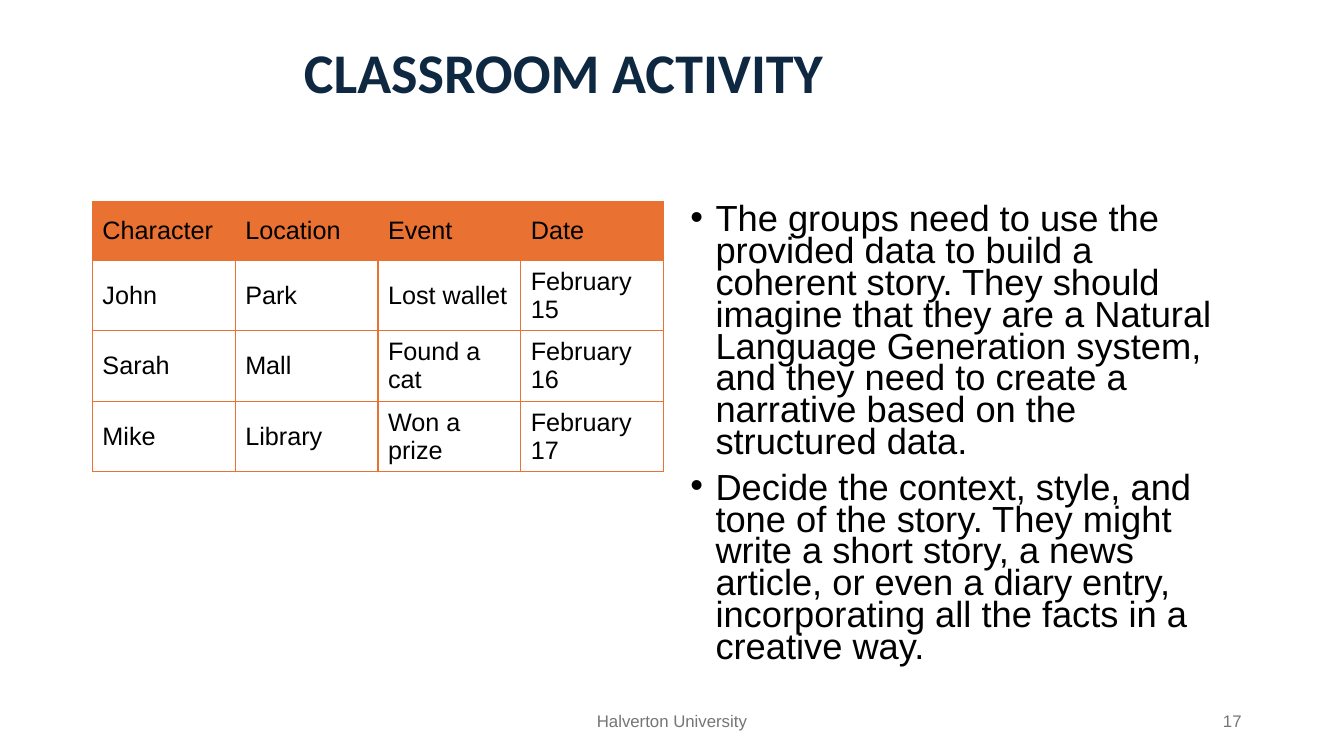
from lxml import etree
from pptx import Presentation, util as u
from pptx.dml.color import RGBColor
from pptx.enum import text
from pptx.oxml import ns

COLORS = {"navy": "0E2841", "orange": "E97132", "black": "000000", "grey": "757575"}
COLUMNS, ROWS = 160, 150

HEADER = ["Character", "Location", "Event", "Date"]
RECORDS = [
    ["John", "Park", "Lost wallet", "February 15"],
    ["Sarah", "Mall", "Found a cat", "February 16"],
    ["Mike", "Library", "Won a prize", "February 17"],
]
TASKS = [
    "The groups need to use the provided data to build a coherent story. They should "
    "imagine that they are a Natural Language Generation system, and they need to create "
    "a narrative based on the structured data.",
    "Decide the context, style, and tone of the story. They might write a short story, "
    "a news article, or even a diary entry, incorporating all the facts in a creative way.",
]


class SlideBuilder:
    """Places styled elements on a grid of COLUMNS by ROWS."""

    def __init__(self, presentation):
        self.slide = presentation.slides.add_slide(presentation.slide_layouts[6])
        self.column = presentation.slide_width / COLUMNS
        self.row = presentation.slide_height / ROWS

    def place(self, column, row, columns, rows):
        return [round(n * size) for n, size in
                zip((column, row, columns, rows), (self.column, self.row) * 2)]

    def format_font(self, paragraph, size, color, font="Arial", bold=False):
        for run in paragraph.runs:
            run.font.size = u.Pt(size)
            run.font.name = font
            run.font.bold = bold
            run.font.color.rgb = RGBColor.from_string(COLORS[color])

    def text_box(self, area, content, size, color, align="LEFT", anchor="TOP", **font):
        shape = self.slide.shapes.add_textbox(*self.place(*area))
        frame = shape.text_frame
        frame.word_wrap = True
        frame.vertical_anchor = text.MSO_ANCHOR[anchor]
        frame.text = content
        for paragraph in frame.paragraphs:
            paragraph.alignment = text.PP_ALIGN[align]
            self.format_font(paragraph, size, color, **font)
        return frame

    def title(self, area, content, indent):
        frame = self.text_box(area, content, 40, "navy", font="Calibri", bold=True)
        paragraph = frame.paragraphs[0]
        paragraph.line_spacing = 0.9
        paragraph._p.get_or_add_pPr().set("marL", str(u.Inches(indent)))

    def bullets(self, area, items):
        frame = self.text_box(area, "\n".join(items), 25.9, "black")
        for index, paragraph in enumerate(frame.paragraphs):
            paragraph.line_spacing = 0.73
            paragraph.space_before = u.Pt(10 if index else 0)
            properties = paragraph._p.get_or_add_pPr()
            properties.set("marL", str(u.Inches(0.25)))
            properties.set("indent", str(-u.Inches(0.25)))
            etree.SubElement(properties, ns.qn("a:buFont"), typeface="Arial")
            etree.SubElement(properties, ns.qn("a:buChar"), char="•")

    def border(self, cell, color):
        properties = cell._tc.get_or_add_tcPr()
        for side in ("lnL", "lnR", "lnT", "lnB"):
            line = etree.SubElement(properties, ns.qn(f"a:{side}"), w=str(u.Pt(1)))
            fill = etree.SubElement(line, ns.qn("a:solidFill"))
            etree.SubElement(fill, ns.qn("a:srgbClr"), val=COLORS[color])

    def table(self, area, rows):
        table = self.slide.shapes.add_table(
            len(rows), len(rows[0]), *self.place(*area)).table
        for row_index, values in enumerate(rows):
            for column_index, value in enumerate(values):
                cell = table.cell(row_index, column_index)
                cell.text = value
                cell.vertical_anchor = text.MSO_ANCHOR.MIDDLE
                self.format_font(cell.text_frame.paragraphs[0], 18, "black")
                self.border(cell, "orange")
                if row_index == 0:
                    cell.fill.solid()
                    cell.fill.fore_color.rgb = RGBColor.from_string(COLORS["orange"])
                else:
                    cell.fill.background()


def main():
    presentation = Presentation()
    presentation.slide_width = u.Inches(13.33)
    presentation.slide_height = u.Inches(7.5)

    builder = SlideBuilder(presentation)
    builder.title((11, 8, 138, 29), "CLASSROOM ACTIVITY", indent=2)
    builder.table((11, 40, 68, 46.4), [HEADER, *RECORDS])
    builder.bullets((81, 40, 68, 95), TASKS)
    builder.text_box((53, 139, 54, 8), "Halverton University", 12, "grey", "CENTER", "MIDDLE")
    builder.text_box((113, 139, 36, 8), "17", 12, "grey", "RIGHT", "MIDDLE")
    presentation.save("out.pptx")


if __name__ == "__main__":
    main()
